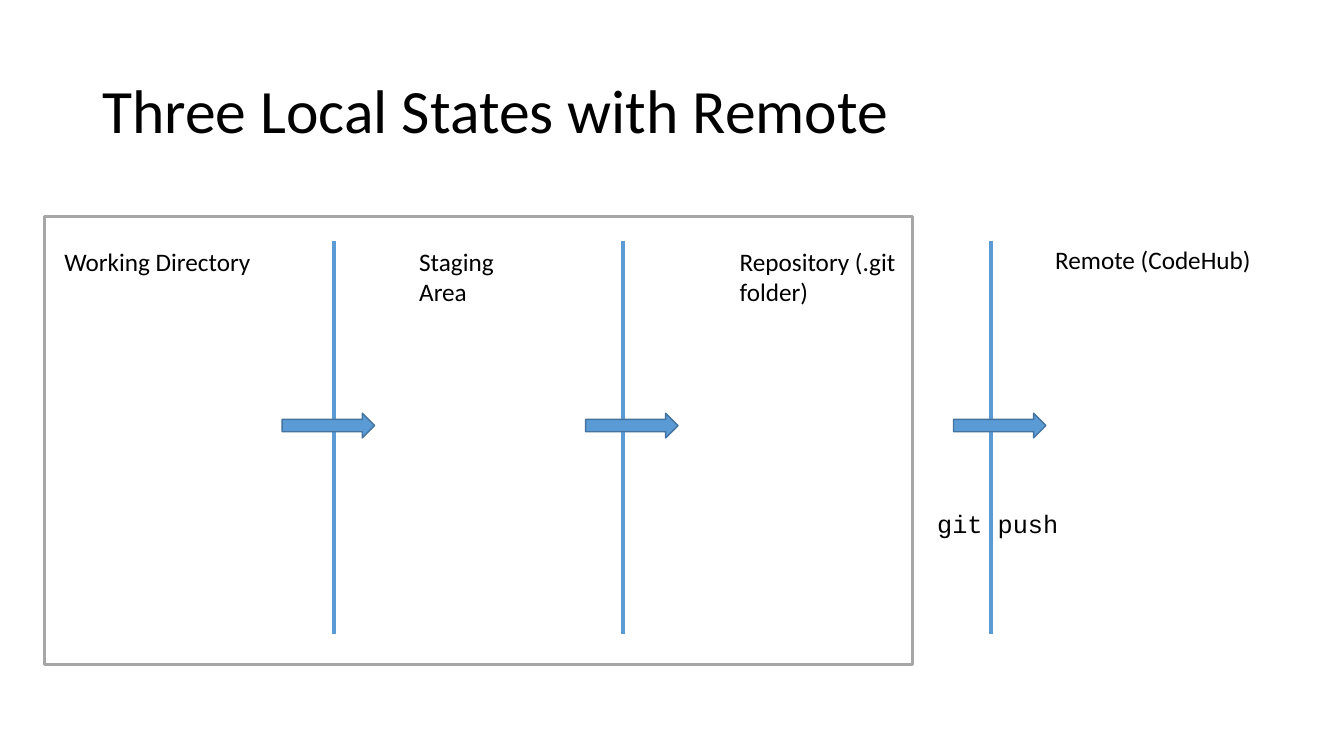
from pptx import Presentation
from pptx.dml.color import RGBColor
from pptx.enum.shapes import MSO_CONNECTOR, MSO_SHAPE
from pptx.enum.text import MSO_ANCHOR, MSO_AUTO_SIZE
from pptx.oxml.ns import qn
from pptx.util import Inches, Pt
from lxml import etree

STRAIGHT = MSO_CONNECTOR.STRAIGHT
RECTANGLE, RIGHT_ARROW = MSO_SHAPE.RECTANGLE, MSO_SHAPE.RIGHT_ARROW
TOP, MIDDLE = MSO_ANCHOR.TOP, MSO_ANCHOR.MIDDLE
GROW, FIXED = MSO_AUTO_SIZE.SHAPE_TO_FIT_TEXT, MSO_AUTO_SIZE.NONE

COLORS = {"text": "000000", "blue": "5B9BD5", "edge": "43739E", "frame": "A6A6A6"}
COLUMNS, ROWS = 40, 30


def rgb(name):
    return RGBColor.from_string(COLORS[name])


class Board:
    """Draws on one slide; every length is in grid columns and rows."""

    def __init__(self, prs):
        self.slide = prs.slides.add_slide(prs.slide_layouts[6])
        self.col = prs.slide_width / COLUMNS
        self.row = prs.slide_height / ROWS

    def place(self, x, y, w, h):
        return (round(x * self.col), round(y * self.row),
                round(w * self.col), round(h * self.row))

    def text(self, text, x, y, w, h, size=18, font="Calibri",
             anchor=TOP, fit=GROW, spacing=1.0):
        tf = self.slide.shapes.add_textbox(*self.place(x, y, w, h)).text_frame
        tf.word_wrap = True
        tf.auto_size = fit
        tf.vertical_anchor = anchor
        p = tf.paragraphs[0]
        p.line_spacing = spacing
        r = p.add_run()
        r.text = text
        r.font.size = Pt(size)
        r.font.name = font
        r.font.color.rgb = rgb("text")

    def shape(self, kind, x, y, w, h, line, width, fill=None):
        sp = self.slide.shapes.add_shape(kind, *self.place(x, y, w, h))
        sp.shadow.inherit = False
        if fill:
            sp.fill.solid()
            sp.fill.fore_color.rgb = rgb(fill)
        else:
            sp.fill.background()
        sp.line.color.rgb = rgb(line)
        sp.line.width = Pt(width)

    def divider(self, x, top, bottom):
        left, y1, _, y2 = self.place(x, top, 0, bottom)
        line = self.slide.shapes.add_connector(STRAIGHT, left, y1, left, y2)
        line.line.color.rgb = rgb("blue")
        line.line.width = Pt(3)
        etree.SubElement(line._element.spPr, qn("a:effectLst"))


def main():
    prs = Presentation()
    prs.slide_width, prs.slide_height = Inches(13.33), Inches(7.5)
    board = Board(prs)

    board.text("Three Local States with Remote", 2.75, 1.6, 34.5, 5.8,
               size=44, anchor=MIDDLE, fit=FIXED, spacing=0.9)

    for state, x, y, w in (("Working Directory", 1.62, 9.56, 6.42),
                           ("Staging Area", 12.18, 9.56, 3.69),
                           ("Repository (.git folder)", 21.72, 9.56, 6.42),
                           ("Remote (CodeHub)", 31.11, 9.48, 6.42)):
        board.text(state, x, y, w, 1.4)

    for divider_x, arrow_x in ((9.93, 8.4), (18.54, 17.43), (29.49, 28.38)):
        board.divider(divider_x, 9.56, 25.16)
        board.shape(RIGHT_ARROW, arrow_x, 16.4, 2.75, 0.98, "edge", 1, fill="blue")

    board.text("git push", 27.6, 19.96, 5.46, 1.6, font="Courier New")
    board.shape(RECTANGLE, 1.32, 8.6, 25.83, 17.76, "frame", 2.25)

    prs.save("out.pptx")


if __name__ == "__main__":
    main()
